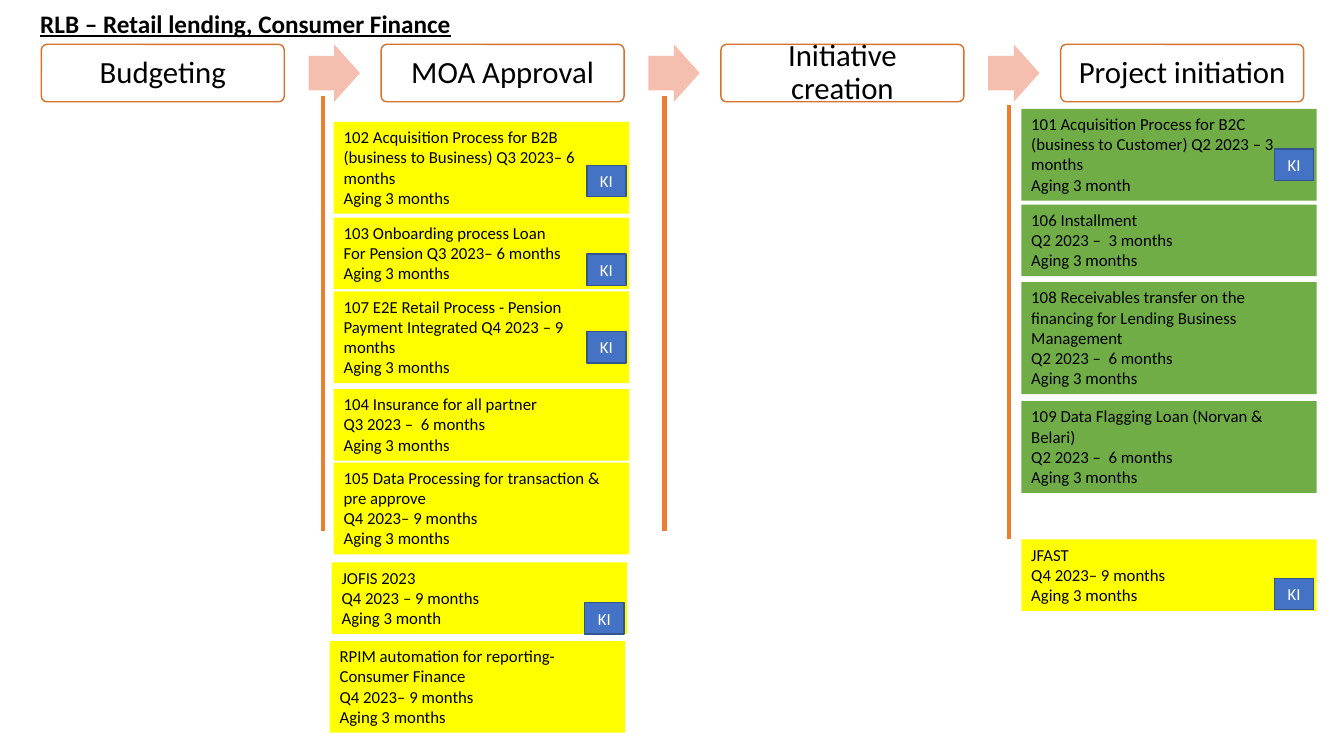
import pptx
import pptx.dml.color
import pptx.enum.shapes
import pptx.enum.text
import pptx.util
from lxml import etree
from pptx.util import Inches

SHAPES = pptx.enum.shapes.MSO_SHAPE
ALIGN = pptx.enum.text.PP_ALIGN
ANCHOR = pptx.enum.text.MSO_ANCHOR
YELLOW, GREEN, BLACK, WHITE = "FFFF00", "70AD47", "000000", "FFFFFF"

STAGES = ["Budgeting", "MOA Approval", "Initiative creation", "Project initiation"]
STAGE_PITCH, STAGE_WIDTH = 3.37, 2.41
CARD_WIDTH = 2.93

# Cards: left, top, fill, rows of text, lines as wrapped, KI badge offset (or None)
CARDS = [
    (3.31, 1.21, YELLOW, ["102 Acquisition Process for B2B (business to Business) Q3 2023– 6 months",
                          "Aging 3 months"], 4, 0.43),
    (3.31, 2.16, YELLOW, ["103 Onboarding process Loan", "For Pension Q3 2023– 6 months",
                          "Aging 3 months"], 3, 0.36),
    (3.31, 2.89, YELLOW, ["107 E2E Retail Process - Pension Payment Integrated Q4 2023 – 9 months",
                          "Aging 3 months"], 4, 0.4),
    (3.31, 3.86, YELLOW, ["104 Insurance for all partner", "Q3 2023 –  6 months",
                          "Aging 3 months"], 3, None),
    (3.31, 4.59, YELLOW, ["105 Data Processing for transaction & pre approve", "Q4 2023– 9 months",
                          "Aging 3 months"], 4, None),
    (3.29, 5.58, YELLOW, ["JOFIS 2023", "Q4 2023 – 9 months", "Aging 3 month"], 3, 0.4),
    (3.27, 6.36, YELLOW, ["RPIM automation for reporting-Consumer Finance", "Q4 2023– 9 months",
                          "Aging 3 months"], 4, None),
    (10.13, 1.08, GREEN, ["101 Acquisition Process for B2C (business to Customer) Q2 2023 – 3 months",
                          "Aging 3 month"], 4, 0.4),
    (10.13, 2.03, GREEN, ["106 Installment", "Q2 2023 –  3 months", "Aging 3 months"], 3, None),
    (10.13, 2.8, GREEN, ["108 Receivables transfer on the financing for Lending Business Management",
                         "Q2 2023 –  6 months", "Aging 3 months"], 5, None),
    (10.13, 3.98, GREEN, ["109 Data Flagging Loan (Norvan & Belari)", "Q2 2023 –  6 months",
                          "Aging 3 months"], 4, None),
    (10.13, 5.35, YELLOW, ["JFAST", "Q4 2023– 9 months", "Aging 3 months"], 3, 0.39),
]


def color(hex_string):
    return pptx.dml.color.RGBColor.from_string(hex_string)


def write(frame, rows, size, ink=BLACK, align=ALIGN.LEFT):
    for index, row in enumerate(rows):
        paragraph = frame.paragraphs[0] if index == 0 else frame.add_paragraph()
        paragraph.text = row
        paragraph.alignment = align
        paragraph.font.name = "Calibri"
        paragraph.font.size = pptx.util.Pt(size)
        paragraph.font.color.rgb = color(ink)


def add_block(slide, kind, left, top, width, height, fill, outline=None):
    block = slide.shapes.add_shape(kind, Inches(left), Inches(top), Inches(width), Inches(height))
    block.shadow.inherit = False
    block.fill.solid()
    block.fill.fore_color.rgb = color(fill)
    if outline:
        block.line.color.rgb = color(outline)
        block.line.width = pptx.util.Pt(1)
    else:
        block.line.fill.background()
    block.text_frame.word_wrap = True
    return block


def add_title(slide, left, top, width, height):
    box = slide.shapes.add_textbox(Inches(left), Inches(top), Inches(width), Inches(height))
    box.text_frame.word_wrap = False
    write(box.text_frame, ["RLB – Retail lending, Consumer Finance"], 18)
    heading = box.text_frame.paragraphs[0].font
    heading.bold = True
    heading.underline = True


def add_process(slide, left, top, height):
    for index, name in enumerate(STAGES):
        stage_left = left + index * STAGE_PITCH
        stage = add_block(slide, SHAPES.ROUNDED_RECTANGLE, stage_left, top,
                          STAGE_WIDTH, height, WHITE, "D7712C")
        stage.adjustments[0] = 0.1
        frame = stage.text_frame
        frame.vertical_anchor = ANCHOR.MIDDLE
        frame.margin_left = frame.margin_right = Inches(0.11)
        frame.margin_top = frame.margin_bottom = Inches(0.11)
        write(frame, [name], 22, align=ALIGN.CENTER)
        frame.paragraphs[0].line_spacing = 0.9
        # Arrow to the next stage
        if index < len(STAGES) - 1:
            arrow = add_block(slide, SHAPES.RIGHT_ARROW, stage_left + 2.65, top, 0.51, height, "F4BFAE")
            arrow.adjustments[0] = 0.6


def add_divider(slide, x, top, bottom):
    divider = slide.shapes.add_connector(pptx.enum.shapes.MSO_CONNECTOR.STRAIGHT,
                                         Inches(x), Inches(top), Inches(x), Inches(bottom))
    divider.line.color.rgb = color("ED7D31")
    divider.line.width = pptx.util.Pt(3)
    properties = divider.element.find(pptx.oxml.ns.qn("p:spPr"))
    etree.SubElement(properties, pptx.oxml.ns.qn("a:effectLst"))


def add_card(slide, left, top, fill, rows, line_count, badge_offset):
    height = 0.11 + 0.2 * line_count
    card = add_block(slide, SHAPES.RECTANGLE, left, top, CARD_WIDTH, height, fill)
    card.text_frame.vertical_anchor = ANCHOR.TOP
    write(card.text_frame, rows, 12)
    if badge_offset is not None:
        badge = add_block(slide, SHAPES.RECTANGLE, left + 2.51, top + badge_offset,
                          0.39, 0.31, "4472C4", "325491")
        badge.text_frame.vertical_anchor = ANCHOR.MIDDLE
        write(badge.text_frame, ["KI"], 12, WHITE, ALIGN.CENTER)


def main():
    deck = pptx.Presentation()
    deck.slide_width, deck.slide_height = Inches(13.33), Inches(7.5)
    slide = deck.slides.add_slide(deck.slide_layouts[6])
    add_process(slide, 0.41, 0.44, 0.57)
    for x, top, bottom in [(3.2, 0.95, 5.27), (6.59, 0.95, 5.27), (10.01, 1.04, 5.35)]:
        add_divider(slide, x, top, bottom)
    add_title(slide, 0.3, 0.03, 4.31, 0.4)
    for card in CARDS:
        add_card(slide, *card)
    deck.save("out.pptx")


if __name__ == "__main__":
    main()
